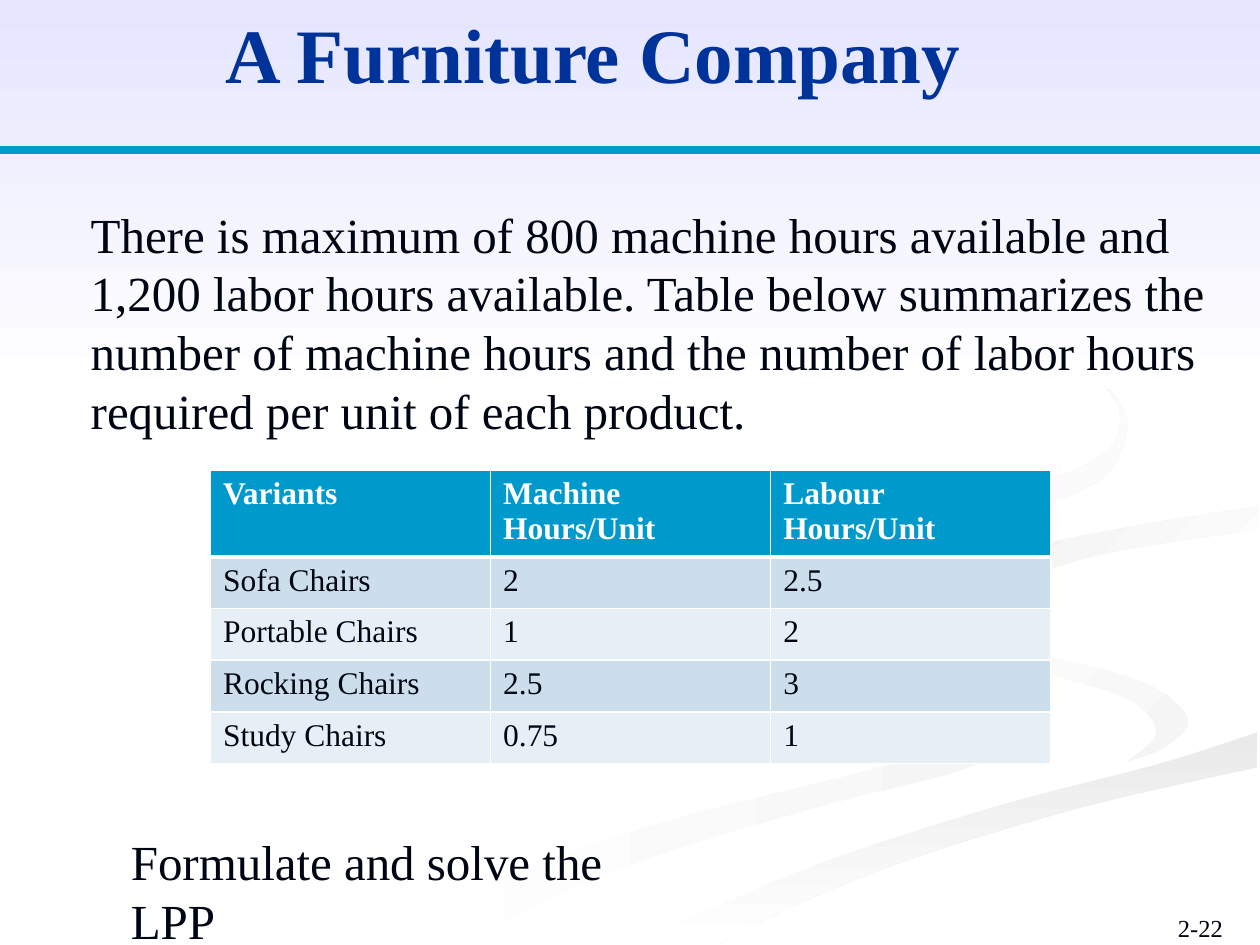
from itertools import chain

from lxml import etree
from pptx import Presentation
from pptx.dml import color
from pptx.enum import shapes, text
from pptx.oxml import ns
from pptx.util import Inches, Pt

FONT = "Times New Roman"
INK, NAVY, AZURE, WHITE = "000514", "003399", "0099CC", "FFFFFF"
BANDS = ("CCDEEC", "E7EFF6")
CURVE_STEPS = 5
UNITS_PER_INCH = 1000

SWIRL_OUTER = [(5.75, 4.59), (5.94, 4.85), (6.82, 5.19), (7.81, 5.53), (8, 5.81),
               (7.69, 6.09), (6.51, 6.4), (4.99, 6.87), (3.61, 7.49)]
SWIRL_INNER = [(3, 7.49), (4.17, 6.9), (5.39, 6.49), (6.84, 6.13), (7.59, 5.9),
               (7.86, 5.66), (7.14, 5.3), (6.31, 5.05), (5.76, 4.8), (5.75, 4.59)]
BEND_OUTER = [(7.24, 4.64), (7.45, 4.9), (8.11, 5.15), (9.05, 5.4), (9.43, 5.7),
              (9.25, 5.93), (8.94, 6.05)]
BEND_INNER = [(8.94, 6.05), (9.18, 5.81), (8.92, 5.53), (8.15, 5.3), (7.46, 5),
              (7.24, 4.64)]
STREAM_TOP = [(5.03, 7.49), (5.69, 7.19), (6.62, 6.81), (7.97, 6.38), (9.2, 6.06),
              (9.98, 5.81)]
STREAM_BOTTOM = [(9.98, 6.09), (8.61, 6.4), (7.22, 6.82), (6.3, 7.19), (5.71, 7.49)]
WAVE_TOP = [(8.26, 4.96), (7.97, 4.83), (7.81, 4.6), (8.1, 4.37), (8.98, 4.18),
            (9.98, 4.02)]
WAVE_BOTTOM = [(9.98, 4.2), (8.78, 4.39), (8.16, 4.59), (8.05, 4.74), (8.26, 4.96)]
PATH_TAIL = [(8.94, 6.05), (8.12, 6.25), (6.63, 6.68), (5.73, 7.03), (4.77, 7.49)]
PATH_RIGHT = [(9.98, 5.38), (9.04, 5.19), (8.26, 4.96)]
PATH_CREST = [(9.98, 3.87), (8.74, 4.08), (7.7, 4.27), (7.24, 4.64)]
LOOP_OUTER = [(7.62, 2.33), (8.43, 2.75), (8.86, 3.16), (8.94, 3.44), (8.76, 3.78),
              (8.25, 4.02), (7.39, 4.21), (6.49, 4.36), (5.94, 4.65), (6.22, 5)]
LOOP_INNER = [(6.22, 5), (5.8, 4.74), (5.84, 4.46), (6.49, 4.2), (7.91, 3.92),
              (8.7, 3.65), (8.89, 3.35), (8.76, 3.06), (8.26, 2.66), (7.62, 2.33)]

RIBBONS = [
    ([SWIRL_OUTER, SWIRL_INNER], (WHITE, "F5F5F5"), 0),
    ([BEND_OUTER, BEND_INNER], (WHITE, "F5F5F5"), 45),
    ([STREAM_TOP, STREAM_BOTTOM], ("EAEAEA", WHITE), 90),
    ([BEND_OUTER, PATH_TAIL, STREAM_TOP, PATH_RIGHT, WAVE_TOP, PATH_CREST], (WHITE,), 0),
    ([WAVE_TOP, WAVE_BOTTOM], ("F1F1F1", WHITE), 45),
    ([LOOP_OUTER, LOOP_INNER], ("EDEDED", WHITE), 45),
]

HOURS = [
    ("Variants", "Machine Hours/Unit", "Labour Hours/Unit"),
    ("Sofa Chairs", "2", "2.5"),
    ("Portable Chairs", "1", "2"),
    ("Rocking Chairs", "2.5", "3"),
    ("Study Chairs", "0.75", "1"),
]

CONSTRAINTS = [
    "There is maximum of 800 machine hours available and",
    "1,200 labor hours available. Table below summarizes the number of machine hours "
    "and the number of labor hours required per unit of each product.",
]


def rgb(value):
    """Turn a hex string into a colour."""
    return color.RGBColor.from_string(value)


def write(frame, *lines, size=28, ink=INK, bold=False, align=text.PP_ALIGN.LEFT):
    """Fill a text frame with one formatted paragraph per line."""
    frame.word_wrap = True
    frame.vertical_anchor = text.MSO_ANCHOR.TOP
    for number, line in enumerate(lines):
        paragraph = frame.add_paragraph() if number else frame.paragraphs[0]
        paragraph.alignment = align
        paragraph.line_spacing = 1.0
        paragraph.space_before = paragraph.space_after = Pt(0)
        run = paragraph.add_run()
        run.text = line
        run.font.name, run.font.size, run.font.bold = FONT, Pt(size), bold
        run.font.color.rgb = rgb(ink)


def add_label(slide, box, line, **style):
    """Add a text box."""
    label = slide.shapes.add_textbox(*map(Inches, box))
    write(label.text_frame, line, **style)


def fill_placeholder(slide, placeholder, box, *lines, **style):
    """Move a placeholder to the front, place it and fill it."""
    placeholder.left, placeholder.top, placeholder.width, placeholder.height = map(Inches, box)
    write(placeholder.text_frame, *lines, **style)
    placeholder.text_frame.auto_size = text.MSO_AUTO_SIZE.NONE
    slide.shapes.element.append(placeholder.element)


def remove_bullets(frame):
    """Clear the bullets and indents of a text frame."""
    for paragraph in frame.paragraphs:
        properties = paragraph._p.get_or_add_pPr()
        properties.set("marL", "0")
        properties.set("indent", "0")
        etree.SubElement(properties, ns.qn("a:buNone"))


def smooth(knots):
    """Return points along a Catmull-Rom curve through the knots."""
    padded = [knots[0], *knots, knots[-1]]
    curve = []
    for before, start, end, after in zip(padded, padded[1:], padded[2:], padded[3:]):
        for step in range(CURVE_STEPS):
            t = step / CURVE_STEPS
            curve.append(tuple(
                b + ((c - a) * t + (2 * a - 5 * b + 4 * c - d) * t ** 2
                     + (3 * b - a - 3 * c + d) * t ** 3) / 2
                for a, b, c, d in zip(before, start, end, after)))
    return curve + [knots[-1]]


def shade(shape, shades, angle):
    """Give a borderless shape a solid fill or a clockwise linear gradient."""
    shape.shadow.inherit = False
    shape.line.fill.background()
    if len(shades) == 1:
        shape.fill.solid()
        shape.fill.fore_color.rgb = rgb(shades[0])
        return
    shape.fill.gradient()
    shape.fill.gradient_angle = (360 - angle) % 360
    for stop, value in zip(shape.fill.gradient_stops, shades):
        stop.color.rgb = rgb(value)


def add_ribbon(slide, edges, shades, angle):
    """Draw a closed ribbon whose edges are smooth curves joined end to end."""
    points = [(x * UNITS_PER_INCH, y * UNITS_PER_INCH)
              for x, y in chain.from_iterable(map(smooth, edges))]
    builder = slide.shapes.build_freeform(*points[0], scale=Inches(1) / UNITS_PER_INCH)
    builder.add_line_segments(points[1:], close=True)
    shade(builder.convert_to_shape(), shades, angle)


def add_sky(slide):
    """Draw the tinted band behind the title."""
    sky = slide.shapes.add_shape(
        shapes.MSO_SHAPE.RECTANGLE, 0, 0, Inches(10), Inches(3.08))
    shade(sky, ("E5E5FF", WHITE), 90)


def add_rule(slide, top):
    """Draw the line across the slide under the title."""
    rule = slide.shapes.add_connector(
        shapes.MSO_CONNECTOR.STRAIGHT, 0, Inches(top), Inches(10), Inches(top))
    rule.line.color.rgb = rgb(AZURE)
    rule.line.width = Pt(4.5)
    etree.SubElement(rule.element.spPr, ns.qn("a:effectLst"))


def set_borders(cell, **widths):
    """Give a cell white borders with widths in points."""
    properties = cell._tc.get_or_add_tcPr()
    for position, side in enumerate("LRTB"):
        border = etree.Element(ns.qn(f"a:ln{side}"), w=str(Pt(widths.get(side, 1))))
        fill = etree.SubElement(border, ns.qn("a:solidFill"))
        etree.SubElement(fill, ns.qn("a:srgbClr"), val=WHITE)
        properties.insert(position, border)


def add_hours_table(slide):
    """Add the table of hours per unit."""
    box = map(Inches, (1.67, 3.73, 6.67, 2.32))
    table = slide.shapes.add_table(len(HOURS), len(HOURS[0]), *box).table
    for row, values in enumerate(HOURS):
        header = row == 0
        table.rows[row].height = Inches(0.69 if header else 0.41)
        for column, value in enumerate(values):
            cell = table.cell(row, column)
            cell.fill.solid()
            cell.fill.fore_color.rgb = rgb(AZURE if header else BANDS[(row - 1) % 2])
            write(cell.text_frame, value, size=18, bold=header,
                  ink=WHITE if header else INK)
            set_borders(cell, T=3 if row == 1 else 1, B=3 if header else 1)


def main():
    """Build and save the slide."""
    deck = Presentation()
    deck.slide_width, deck.slide_height = Inches(10), Inches(7.5)
    slide = deck.slides.add_slide(deck.slide_layouts[1])
    title, body = slide.placeholders
    for ribbon in RIBBONS:
        add_ribbon(slide, *ribbon)
    add_sky(slide)
    add_label(slide, (9.25, 7.2, 0.75, 0.34), "2-22", size=14)
    fill_placeholder(slide, title, (0, 0, 9.42, 0.76), "A Furniture Company",
                     size=44, ink=NAVY, bold=True, align=text.PP_ALIGN.CENTER)
    add_rule(slide, 1.19)
    fill_placeholder(slide, body, (0.62, 1.57, 9.38, 2.46), *CONSTRAINTS)
    remove_bullets(body.text_frame)
    add_hours_table(slide)
    add_label(slide, (0.94, 6.55, 4.63, 0.57), "Formulate and solve the LPP")
    deck.save("out.pptx")


if __name__ == "__main__":
    main()
